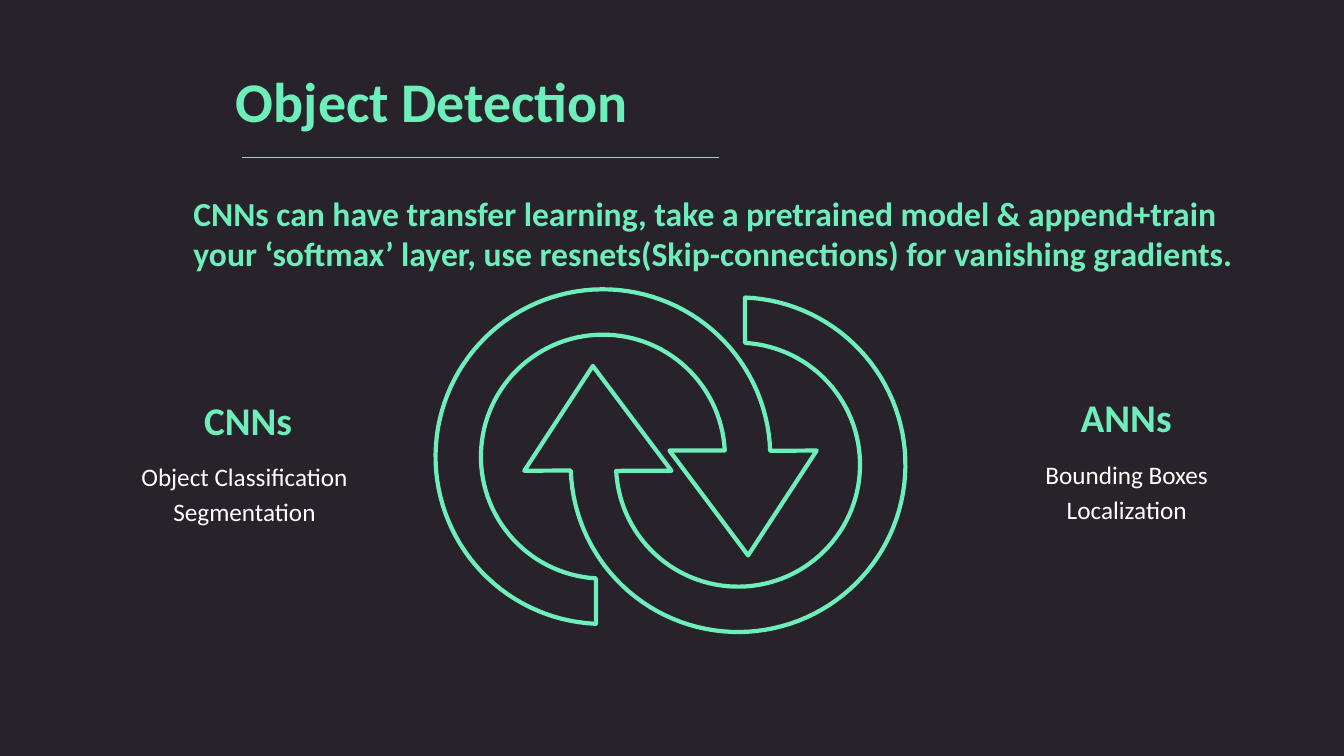
import math

from lxml import etree
from pptx import Presentation
from pptx import util as u
from pptx.dml.color import RGBColor
from pptx.enum import shapes, text
from pptx.oxml.ns import qn

COLORS = {"background": "28232A", "mint": "6DEEBA", "white": "FFFFFF"}
FORMATS = {
    "title": {"size": u.Pt(40), "bold": True, "color": "mint"},
    "summary": {"size": u.Pt(24), "bold": True, "color": "mint"},
    "heading": {"size": u.Pt(28), "bold": True, "color": "mint"},
    "detail": {"size": u.Pt(18), "bold": False, "color": "white"},
}


def color(name):
    return RGBColor.from_string(COLORS[name])


def write(shape, lines, style, align=text.PP_ALIGN.LEFT, spacing=1.0, wrap=True):
    frame = shape.text_frame
    frame.word_wrap = wrap
    frame.auto_size = text.MSO_AUTO_SIZE.NONE
    frame.vertical_anchor = text.MSO_ANCHOR.TOP
    frame.text = "\n".join(lines)
    for paragraph in frame.paragraphs:
        paragraph.alignment = align
        paragraph.line_spacing = spacing
        font = paragraph.runs[0].font
        font.name = "Calibri"
        for name, value in FORMATS[style].items():
            if name == "color":
                font.color.rgb = color(value)
            else:
                setattr(font, name, value)


presentation = Presentation()
presentation.slide_width, presentation.slide_height = u.Inches(13.33), u.Inches(7.5)
slide = presentation.slides.add_slide(presentation.slide_layouts[5])
slide.background.fill.solid()
slide.background.fill.fore_color.rgb = color("background")

# Title and its rule
title = slide.shapes.title
title.left, title.top = u.Inches(2.24), u.Inches(0.61)
title.width, title.height = u.Inches(4.09), u.Inches(0.77)
write(title, ["Object Detection"], "title", wrap=False)
rule = slide.shapes.add_connector(
    shapes.MSO_CONNECTOR.STRAIGHT,
    u.Inches(2.4), u.Inches(1.56), u.Inches(7.13), u.Inches(1.56))
rule.line.color.rgb = color("mint")
rule.line.width = u.Pt(0.75)
etree.SubElement(rule.element.spPr, qn("a:effectLst"))

# Interlocking arrows: the second is the first turned by half a circle
CENTER_X, CENTER_Y = 5.98, 4.53
TURN_X, TURN_Y = 6.65, 4.57
STEPS = 90
down_arrow = []
for radius, start, end in ((1.66, -2, -267.6), (1.21, -266.7, -2.9)):
    for step in range(STEPS + 1):
        angle = math.radians(start + (end - start) * step / STEPS)
        down_arrow.append((CENTER_X + radius * math.cos(angle),
                           CENTER_Y + radius * math.sin(angle)))
down_arrow += [(6.64, 4.47), (7.42, 5.51), (8.1, 4.47)]
up_arrow = [(2 * TURN_X - x, 2 * TURN_Y - y) for x, y in down_arrow]
for outline in (down_arrow, up_arrow):
    points = [(u.Inches(x), u.Inches(y)) for x, y in outline]
    builder = slide.shapes.build_freeform(*points[0])
    builder.add_line_segments(points[1:], close=True)
    arrow = builder.convert_to_shape()
    arrow.shadow.inherit = False
    arrow.fill.background()
    arrow.line.color.rgb = color("mint")
    arrow.line.width = u.Pt(3)

# Summary and the two side columns
center = text.PP_ALIGN.CENTER
for box, lines, style, align, spacing in (
    ((1.82, 1.86, 10.66, 1.31),
     ["CNNs can have transfer learning, take a pretrained model & append+train "
      "your ‘softmax’ layer, use resnets(Skip-connections) for vanishing gradients."],
     "summary", text.PP_ALIGN.LEFT, 1.0),
    ((1.15, 3.88, 2.62, 0.57), ["CNNs"], "heading", center, 1.0),
    ((1.15, 4.49, 2.55, 0.83), ["Object Classification", "Segmentation"],
     "detail", center, 1.14),
    ((9.86, 3.85, 2.62, 0.57), ["ANNs"], "heading", center, 1.0),
    ((9.94, 4.47, 2.47, 0.83), ["Bounding Boxes", "Localization"],
     "detail", center, 1.14),
):
    text_box = slide.shapes.add_textbox(*map(u.Inches, box))
    write(text_box, lines, style, align, spacing)

presentation.save("out.pptx")
